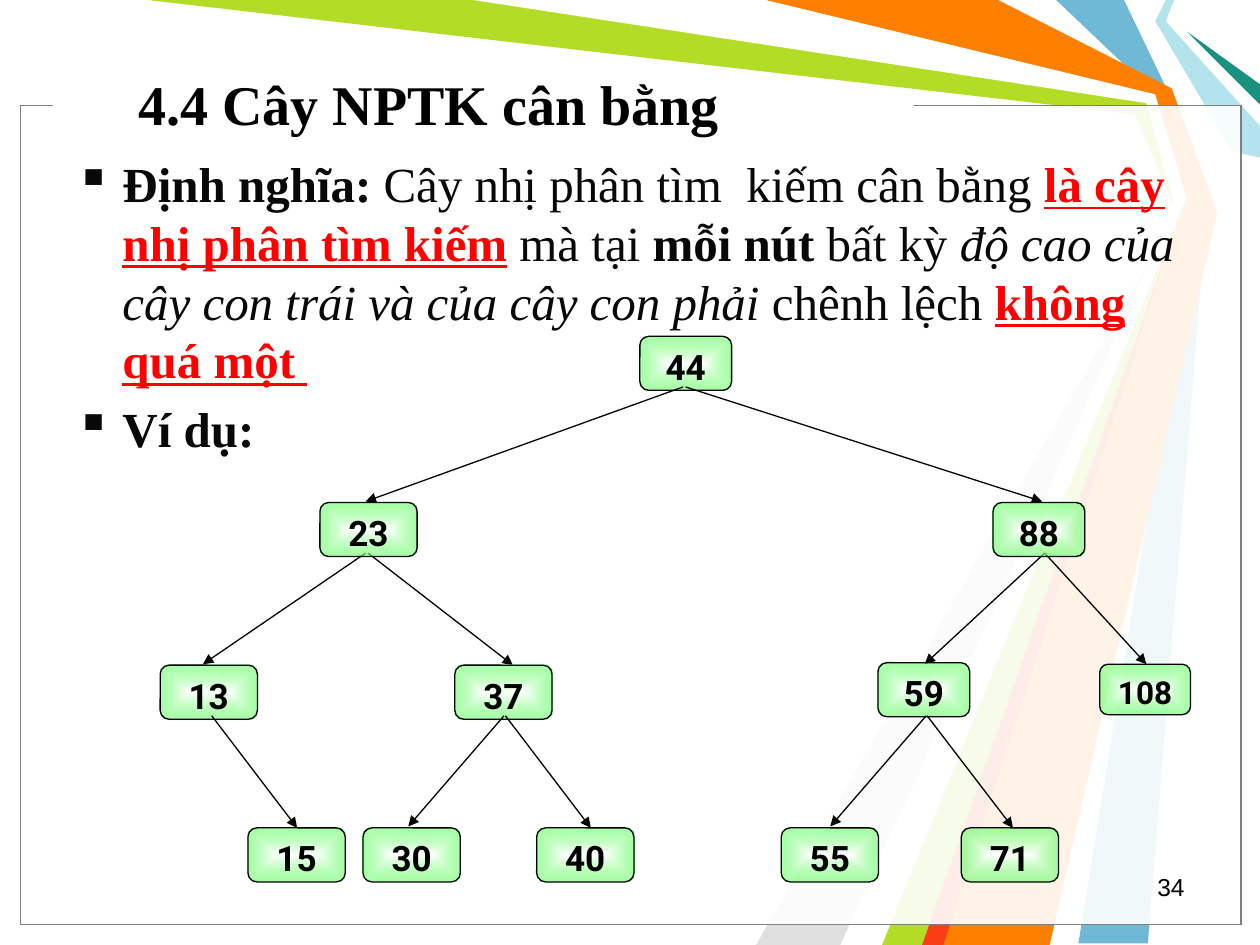
from dataclasses import dataclass

from lxml.etree import SubElement
from pptx import Presentation
from pptx.dml.color import RGBColor
from pptx.enum.shapes import MSO_CONNECTOR, MSO_SHAPE
from pptx.enum.text import MSO_ANCHOR, MSO_AUTO_SIZE, PP_ALIGN
from pptx.oxml import parse_xml
from pptx.oxml.ns import nsdecls, qn
from pptx.shapes.autoshape import Shape
from pptx.slide import Slide
from pptx.util import Cm, Pt

COLORS = {
    "black": "000000",
    "ink": "080808",
    "red": "FF0000",
    "white": "FFFFFF",
    "frame": "808080",
    "node": "69FF69",
    "blue": "6FB9D7",
    "lime": "B3DC27",
    "silver": "E0E0E0",
    "aqua": "B4E3EE",
    "teal": "189180",
    "orange": "FF7F00",
    "vermilion": "F93D17",
}
SERIF = "Times New Roman"


@dataclass(frozen=True)
class Ribbon:
    color: str
    points: tuple[tuple[float, float], ...]


@dataclass(frozen=True)
class Node:
    label: str
    left: float
    top: float
    width: float = 1.96
    height: float = 1.09
    size: int = 20


@dataclass(frozen=True)
class Edge:
    start_x: float
    start_y: float
    end_x: float
    end_y: float


RIBBONS = [
    Ribbon("blue", ((22.66, 0), (23.6, 1.96), (24.33, 4.24), (23.14, 19.02),
                    (21.74, 19.02), (24.13, 4.24), (23.29, 1.9), (21.29, 0))),
    Ribbon("lime", ((2.97, 0), (9.73, 0), (23.22, 1.98), (23.93, 4.29),
                    (18.85, 19.05), (17.58, 19.05), (23.75, 4.39), (22.89, 2.31))),
    Ribbon("silver", ((16.94, 19.05), (23.55, 4.6), (15.24, 19.05))),
    Ribbon("white", ((9.53, 0), (23.11, 2.08), (23.67, 4.11), (17.15, 19.05),
                     (17.78, 19.05), (23.9, 4.01), (23.29, 1.9), (15.24, 0))),
    Ribbon("aqua", ((23.5, 0), (23.29, 0.43), (24.84, 3.05), (25.4, 3.18),
                    (25.4, 2.54), (23.5, 0.43), (23.67, 0))),
    Ribbon("teal", ((25.4, 2.11), (23.93, 0.64), (25.4, 1.7))),
    Ribbon("orange", ((15.44, 0), (20.12, 0), (23.62, 1.78), (24.54, 4.29),
                      (21.16, 19.05), (18.62, 19.05), (23.93, 4.01), (23.29, 1.9))),
    Ribbon("vermilion", ((18.59, 19.05), (23.67, 4.65), (19.02, 19.05))),
]

ROOT = Node("44", 12.9, 6.78, 1.85)
INNER_NODES = [
    Node("23", 6.45, 10.13),
    Node("88", 20.02, 10.13, 1.85),
    Node("13", 3.23, 13.41),
    Node("37", 9.17, 13.41),
    Node("59", 17.7, 13.36, 1.85),
    Node("108", 22.17, 13.39, 1.83, 1.02, 18),
]
LEAVES = [
    Node(label, left, 16.69)
    for label, left in (("15", 5), ("30", 7.32), ("40", 10.82), ("55", 15.75), ("71", 19.38))
]
UPPER_EDGES = [
    Edge(13.77, 7.8, 7.37, 10.11),
    Edge(7.42, 11.15, 10.34, 13.41),
    Edge(7.37, 11.15, 4.09, 13.39),
    Edge(13.82, 7.8, 21.01, 10.11),
    Edge(21.06, 11.15, 18.64, 13.39),
    Edge(21.06, 11.15, 23.11, 13.39),
]
LOWER_EDGES = [
    Edge(start_x, 14.43, end_x, end_y)
    for start_x, end_x, end_y in (
        (10.19, 11.91, 16.69), (10.16, 8.23, 16.66), (18.69, 20.42, 16.69),
        (18.67, 16.74, 16.66), (4.27, 5.99, 16.69),
    )
]

STRONG = {"bold": True}
KEY = {"bold": True, "underline": True, "color": "red"}
BODY = [
    [
        ("Định nghĩa: ", STRONG),
        ("Cây nhị phân tìm  kiếm cân bằng ", {}),
        ("là cây nhị phân tìm kiếm", KEY),
        (" mà tại ", {}),
        ("mỗi nút ", STRONG),
        ("bất kỳ ", {}),
        ("độ cao của cây con trái và của cây con phải ", {"italic": True}),
        ("chênh lệch ", {}),
        ("không quá một ", KEY),
    ],
    [("Ví dụ:", STRONG)],
]


def rgb(name: str) -> RGBColor:
    return RGBColor.from_string(COLORS[name])


def add_text(paragraph, text: str, *, size: int, font: str = SERIF, color: str = "black",
             bold: bool = False, italic: bool = False, underline: bool = False) -> None:
    run = paragraph.add_run()
    run.text = text
    run.font.name = font
    run.font.size = Pt(size)
    run.font.bold = bold
    run.font.italic = italic
    run.font.underline = underline
    run.font.color.rgb = rgb(color)


def add_box(slide: Slide, left: float, top: float, width: float, height: float):
    text_frame = slide.shapes.add_textbox(Cm(left), Cm(top), Cm(width), Cm(height)).text_frame
    text_frame.word_wrap = True
    return text_frame


def paint(shape: Shape, color: str) -> None:
    shape.shadow.inherit = False
    shape.fill.solid()
    shape.fill.fore_color.rgb = rgb(color)
    shape.line.fill.background()


def draw_ribbon(slide: Slide, ribbon: Ribbon) -> None:
    points = [(Cm(x), Cm(y)) for x, y in ribbon.points]
    builder = slide.shapes.build_freeform(*points[0])
    builder.add_line_segments(points[1:], close=True)
    paint(builder.convert_to_shape(), ribbon.color)


def draw_rectangle(slide: Slide, left: float, top: float, width: float, height: float) -> Shape:
    shape = slide.shapes.add_shape(
        MSO_SHAPE.RECTANGLE, Cm(left), Cm(top), Cm(width), Cm(height))
    paint(shape, "white")
    return shape


def draw_frame(slide: Slide, line_color: str) -> None:
    shape = draw_rectangle(slide, 0.41, 2.13, 24.61, 16.51)
    color = shape.fill._xPr.find(qn("a:solidFill"))[0]
    SubElement(color, qn("a:alpha"), val="69000")
    shape.line.color.rgb = rgb(line_color)
    shape.line.width = Pt(0.75)


def draw_node(slide: Slide, node: Node) -> None:
    shape = slide.shapes.add_shape(
        MSO_SHAPE.ROUNDED_RECTANGLE, Cm(node.left), Cm(node.top), Cm(node.width), Cm(node.height))
    paint(shape, "node")
    solid = shape.fill._xPr.find(qn("a:solidFill"))
    gradient = parse_xml(
        f'<a:gradFill {nsdecls("a")} rotWithShape="1"><a:gsLst>'
        f'<a:gs pos="0"><a:srgbClr val="{COLORS["white"]}"/></a:gs>'
        f'<a:gs pos="100000"><a:srgbClr val="{COLORS["node"]}">'
        '<a:alpha val="60000"/></a:srgbClr></a:gs></a:gsLst>'
        '<a:path path="shape"><a:fillToRect l="50000" t="50000" r="50000" b="50000"/></a:path>'
        '</a:gradFill>')
    solid.getparent().replace(solid, gradient)
    shape.line.color.rgb = rgb("black")
    shape.line.width = Pt(0.75)
    text_frame = shape.text_frame
    text_frame.word_wrap = True
    text_frame.auto_size = MSO_AUTO_SIZE.SHAPE_TO_FIT_TEXT
    text_frame.vertical_anchor = MSO_ANCHOR.TOP
    paragraph = text_frame.paragraphs[0]
    paragraph.alignment = PP_ALIGN.CENTER
    add_text(paragraph, node.label, size=node.size, font="Roboto", bold=True)


def draw_edge(slide: Slide, edge: Edge) -> None:
    connector = slide.shapes.add_connector(
        MSO_CONNECTOR.STRAIGHT, Cm(edge.start_x), Cm(edge.start_y), Cm(edge.end_x), Cm(edge.end_y))
    connector.line.color.rgb = rgb("black")
    connector.line.width = Pt(0.75)
    SubElement(connector.line._get_or_add_ln(), qn("a:tailEnd"), type="triangle")
    SubElement(connector._element.spPr, qn("a:effectLst"))


def draw_texts(slide: Slide) -> None:
    title = add_box(slide, 2.54, 1.19, 17.5, 1.78)
    title.vertical_anchor = MSO_ANCHOR.MIDDLE
    add_text(title.paragraphs[0], "4.4 Cây NPTK cân bằng", size=32, bold=True)

    body = add_box(slide, 1.27, 2.97, 22.86, 14.48)
    for index, pieces in enumerate(BODY):
        paragraph = body.add_paragraph() if index else body.paragraphs[0]
        properties = paragraph._p.get_or_add_pPr()
        properties.set("marL", str(Cm(0.95)))
        properties.set("indent", str(-Cm(0.95)))
        SubElement(properties, qn("a:buChar"), char="▪")
        if index:
            paragraph.space_before = Pt(5.6)
        for text, style in pieces:
            add_text(paragraph, text, size=28, **{"color": "ink", **style})

    number = add_box(slide, 18.21, 17.45, 5.92, 0.84).paragraphs[0]
    number.alignment = PP_ALIGN.RIGHT
    add_text(number, "34", size=14, font="Arial")


def main() -> None:
    presentation = Presentation()
    presentation.slide_width, presentation.slide_height = Cm(25.4), Cm(19.05)
    slide = presentation.slides.add_slide(presentation.slide_layouts[6])
    for ribbon in RIBBONS:
        draw_ribbon(slide, ribbon)
    for line_color in ("black", "frame"):
        draw_frame(slide, line_color)
    draw_rectangle(slide, 1.07, 1.88, 17.35, 0.43)
    draw_texts(slide)
    draw_node(slide, ROOT)
    for edges, nodes in ((UPPER_EDGES, INNER_NODES), (LOWER_EDGES, LEAVES)):
        for edge in edges:
            draw_edge(slide, edge)
        for node in nodes:
            draw_node(slide, node)
    presentation.save("out.pptx")


if __name__ == "__main__":
    main()
